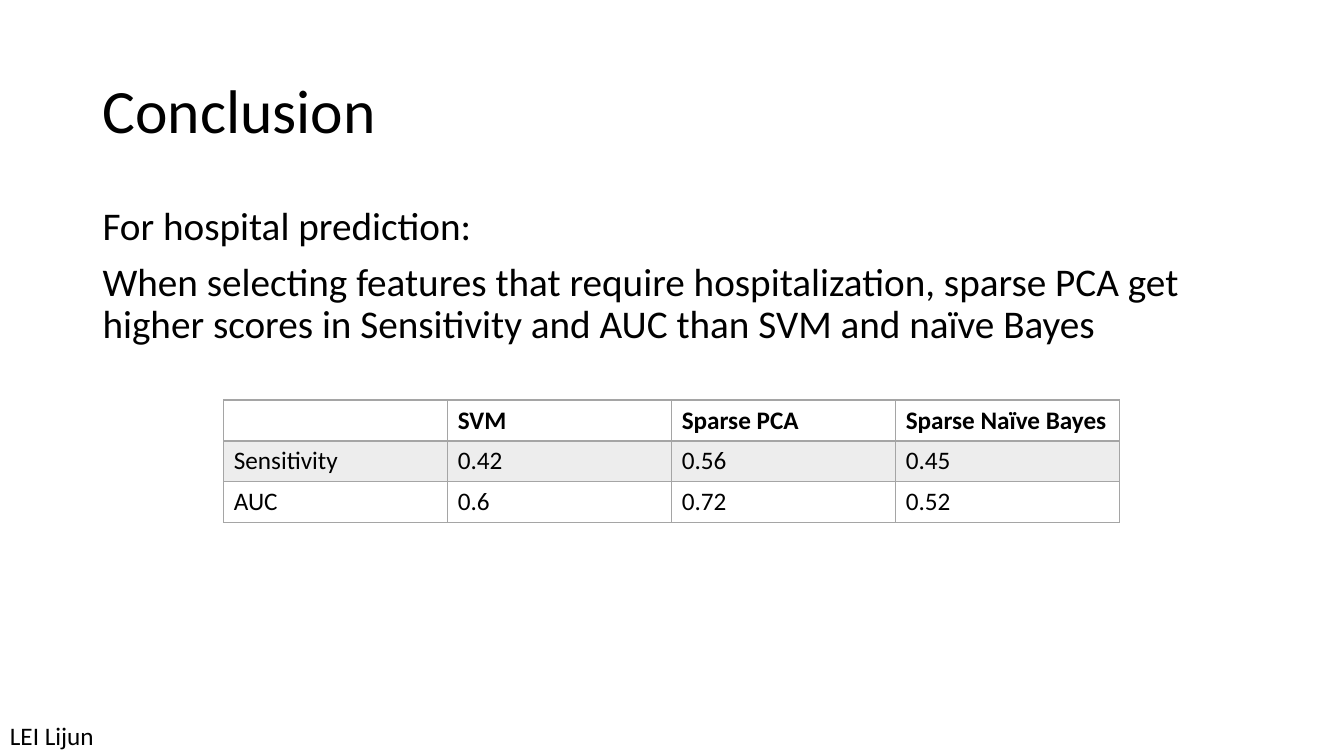
from dataclasses import dataclass

from lxml.etree import SubElement
from pptx import Presentation
from pptx.dml.color import RGBColor
from pptx.enum.text import MSO_ANCHOR, MSO_AUTO_SIZE, PP_ALIGN
from pptx.oxml.ns import qn
from pptx.util import Cm, Pt


@dataclass(frozen=True)
class Theme:
    font: str = "Calibri"
    text: str = "000000"
    border: str = "A5A5A5"
    band: str = "EDEDED"
    title_size: int = 44
    body_size: int = 28
    small_size: int = 18


@dataclass(frozen=True)
class Box:
    left: float
    top: float
    width: float
    height: float

    def lengths(self):
        return [Cm(value) for value in (self.left, self.top, self.width, self.height)]


THEME = Theme()
STATEMENTS = [
    "For hospital prediction:",
    "When selecting features that require hospitalization, sparse PCA get "
    "higher scores in Sensitivity and AUC than SVM and naïve Bayes",
]
SCORES = [
    ["", "SVM", "Sparse PCA", "Sparse Naïve Bayes"],
    ["Sensitivity", "0.42", "0.56", "0.45"],
    ["AUC", "0.6", "0.72", "0.52"],
]


def write_text(paragraph, text, size, bold=False, line_spacing=1.0, space_before=0):
    paragraph.alignment = PP_ALIGN.LEFT
    paragraph.line_spacing = line_spacing
    paragraph.space_before = Pt(space_before)
    if not text:
        return
    run = paragraph.add_run()
    run.text = text
    run.font.name = THEME.font
    run.font.size = Pt(size)
    run.font.bold = bold
    run.font.color.rgb = RGBColor.from_string(THEME.text)


def remove_bullet(paragraph):
    properties = paragraph._p.get_or_add_pPr()
    properties.set("marL", "0")
    properties.set("indent", "0")
    SubElement(properties, qn("a:buNone"))


def place(shape, box):
    shape.left, shape.top, shape.width, shape.height = box.lengths()


def add_title(slide, box):
    title = slide.shapes.title
    place(title, box)
    frame = title.text_frame
    frame.auto_size = MSO_AUTO_SIZE.NONE
    frame.vertical_anchor = MSO_ANCHOR.MIDDLE
    write_text(frame.paragraphs[0], "Conclusion", THEME.title_size, line_spacing=0.9)


def add_body(slide, box):
    body = slide.placeholders[1]
    place(body, box)
    frame = body.text_frame
    frame.auto_size = MSO_AUTO_SIZE.NONE
    for index, statement in enumerate(STATEMENTS):
        paragraph = frame.add_paragraph() if index else frame.paragraphs[0]
        write_text(paragraph, statement, THEME.body_size, line_spacing=0.9, space_before=10)
        remove_bullet(paragraph)


def add_borders(cell, row_index):
    widths = {"L": 1, "R": 1, "T": 2 if row_index == 1 else 1, "B": 2 if row_index == 0 else 1}
    properties = cell._tc.get_or_add_tcPr()
    for side, width in widths.items():
        line = SubElement(properties, qn(f"a:ln{side}"), w=str(Pt(width)))
        fill = SubElement(line, qn("a:solidFill"))
        SubElement(fill, qn("a:srgbClr"), val=THEME.border)


def add_score_table(slide, box):
    table = slide.shapes.add_table(len(SCORES), len(SCORES[0]), *box.lengths()).table
    table.horz_banding = False
    for row_index, row in enumerate(SCORES):
        for column_index, text in enumerate(row):
            cell = table.cell(row_index, column_index)
            write_text(cell.text_frame.paragraphs[0], text, THEME.small_size, bold=row_index == 0)
            add_borders(cell, row_index)
            if row_index == 1:
                cell.fill.solid()
                cell.fill.fore_color.rgb = RGBColor.from_string(THEME.band)
            else:
                cell.fill.background()


def add_author(slide, box):
    frame = slide.shapes.add_textbox(*box.lengths()).text_frame
    frame.word_wrap = False
    frame.auto_size = MSO_AUTO_SIZE.SHAPE_TO_FIT_TEXT
    write_text(frame.paragraphs[0], "LEI Lijun", THEME.small_size)


def main():
    presentation = Presentation()
    presentation.slide_width, presentation.slide_height = Cm(33.87), Cm(19.05)
    slide = presentation.slides.add_slide(presentation.slide_layouts[1])
    add_title(slide, Box(2.33, 1.01, 29.21, 3.68))
    add_body(slide, Box(2.33, 5.07, 29.21, 12.09))
    add_score_table(slide, Box(5.64, 10.08, 22.58, 3.09))
    add_author(slide, Box(0, 18.02, 3.1, 1.03))
    presentation.save("out.pptx")


if __name__ == "__main__":
    main()
